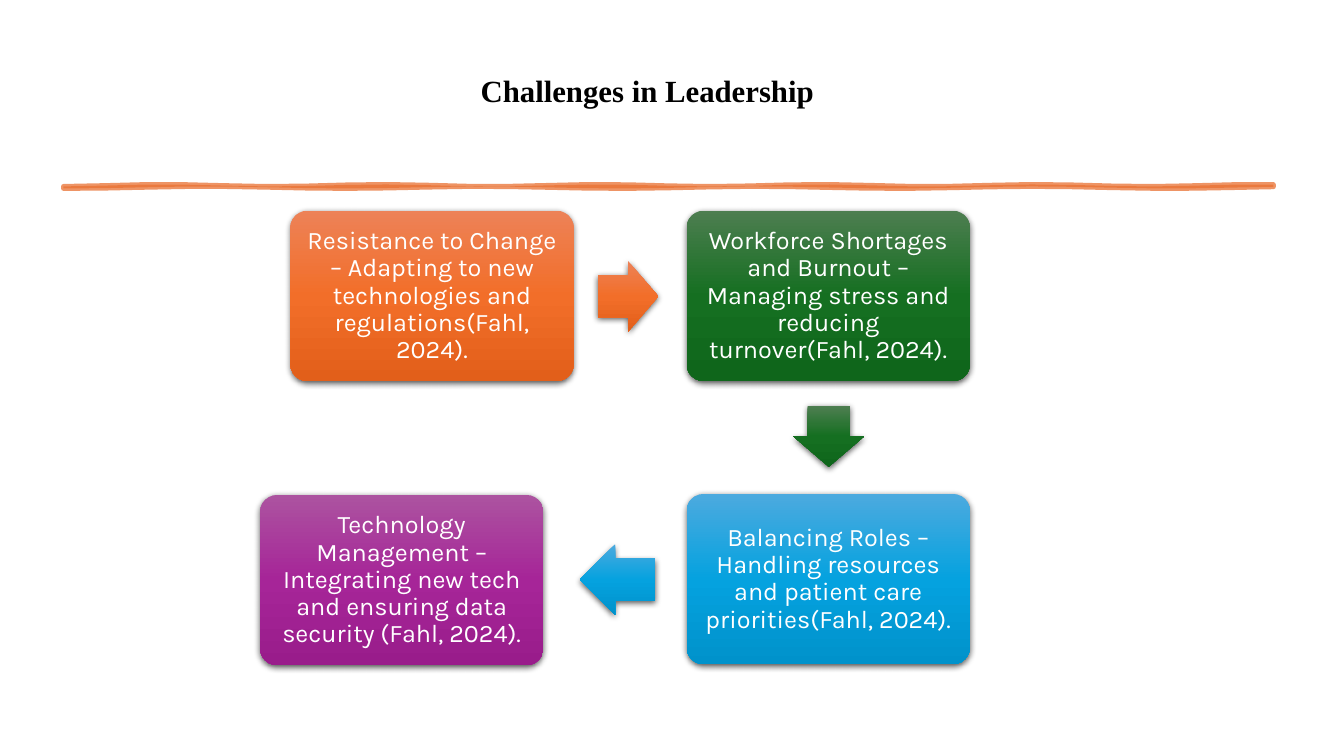
from dataclasses import dataclass
from math import sin

from lxml.etree import SubElement
from pptx import Presentation
from pptx.dml.color import RGBColor
from pptx.enum.shapes import MSO_SHAPE
from pptx.enum.text import MSO_ANCHOR, MSO_AUTO_SIZE, PP_ALIGN
from pptx.oxml.ns import qn
from pptx.shapes.autoshape import Shape
from pptx.slide import Slide
from pptx.util import Inches, Pt

Gradient = tuple[str, str, str]


@dataclass(frozen=True)
class Theme:
    title_font: str = "Times New Roman"
    body_font: str = "Karla"
    title_size: int = 22
    body_size: int = 18
    title_color: str = "000000"
    body_color: str = "FFFFFF"
    rule_color: str = "E97132"
    shadow_color: str = "000000"
    orange: Gradient = ("ED8257", "F26E29", "E25F1A")
    green: Gradient = ("4D7E50", "156F21", "0F661B")
    blue: Gradient = ("4CAADF", "05A2DF", "0092CB")
    purple: Gradient = ("AC53A0", "A62598", "991C8B")


@dataclass(frozen=True)
class Step:
    left: float
    top: float
    colors: Gradient
    text: str


@dataclass(frozen=True)
class Arrow:
    kind: MSO_SHAPE
    left: float
    top: float
    width: float
    height: float
    colors: Gradient


THEME = Theme()
STEP_WIDTH, STEP_HEIGHT = 2.81, 1.69
TOP_ROW, RIGHT_COLUMN = 2.09, 6.81

STEPS = [
    Step(2.88, TOP_ROW, THEME.orange,
         "Resistance to Change – Adapting to new technologies and regulations(Fahl, 2024)."),
    Step(RIGHT_COLUMN, TOP_ROW, THEME.green,
         "Workforce Shortages and Burnout – Managing stress and reducing turnover(Fahl, 2024)."),
    Step(RIGHT_COLUMN, 4.9, THEME.blue,
         "Balancing Roles – Handling resources and patient care priorities(Fahl, 2024)."),
    Step(2.58, 4.91, THEME.purple,
         "Technology Management – Integrating new tech and ensuring data security (Fahl, 2024)."),
]
ARROWS = [
    Arrow(MSO_SHAPE.RIGHT_ARROW, 5.93, 2.59, 0.6, 0.7, THEME.orange),
    Arrow(MSO_SHAPE.DOWN_ARROW, 7.87, 4.03, 0.7, 0.6, THEME.green),
    Arrow(MSO_SHAPE.LEFT_ARROW, 5.75, 5.4, 0.75, 0.7, THEME.blue),
]


def add_color(parent, color: str, opacity: int = 100) -> None:
    element = SubElement(parent, qn("a:srgbClr"), val=color)
    SubElement(element, qn("a:alpha"), val=str(opacity * 1000))


def style_shape(shape: Shape, colors: Gradient) -> None:
    """Give a shape a vertical three-stop gradient and a soft shadow."""
    shape.line.fill.background()
    shape.fill.gradient()
    shape.fill.gradient_angle = 270
    properties = shape.element.spPr
    stops = properties.find(".//" + qn("a:gsLst"))
    for stop in list(stops):
        stops.remove(stop)
    for position, color in zip((0, 50000, 100000), colors):
        add_color(SubElement(stops, qn("a:gs"), pos=str(position)), color)

    shape.shadow.inherit = False
    shadow = SubElement(properties.find(qn("a:effectLst")), qn("a:outerShdw"),
                        blurRad=str(Pt(4.5)), dist=str(Pt(1.5)), dir="5400000",
                        algn="ctr", rotWithShape="0")
    add_color(shadow, THEME.shadow_color, 63)


def add_title(slide: Slide, text: str) -> None:
    title = slide.shapes.title
    title.left, title.top = Inches(0.63), Inches(0.26)
    title.width, title.height = Inches(12.05), Inches(1.57)
    frame = title.text_frame
    frame.auto_size = MSO_AUTO_SIZE.NONE
    frame.vertical_anchor = MSO_ANCHOR.BOTTOM
    frame.margin_right, frame.margin_bottom = Inches(0.57), Inches(0.75)
    frame.text = text
    paragraph = frame.paragraphs[0]
    paragraph.alignment = PP_ALIGN.CENTER
    paragraph.line_spacing = 0.9
    paragraph.font.name = THEME.title_font
    paragraph.font.size = Pt(THEME.title_size)
    paragraph.font.bold = True
    paragraph.font.color.rgb = RGBColor.from_string(THEME.title_color)


def add_rough_rule(slide: Slide) -> None:
    """Draw the hand-drawn rule as a thin, uneven ribbon."""
    left, width, count = 0.63, 12, 30
    columns = [left + width * index / count for index in range(count + 1)]
    upper = [(x, 1.84 + 0.01 * sin(2.9 * x)) for x in columns]
    lower = [(x, 1.86 + 0.01 * sin(2.3 * x)) for x in reversed(columns)]
    outline = [(Inches(x), Inches(y)) for x, y in upper + lower]
    builder = slide.shapes.build_freeform(*outline[0])
    builder.add_line_segments(outline[1:], close=True)
    rule = builder.convert_to_shape()
    rule.shadow.inherit = False
    rule.line.width = Pt(3.5)
    for fill in (rule.fill, rule.line.fill):
        fill.solid()
        fill.fore_color.rgb = RGBColor.from_string(THEME.rule_color)
    for color in rule.element.spPr.iter(qn("a:srgbClr")):
        SubElement(color, qn("a:alpha"), val="75000")


def add_step(slide: Slide, step: Step) -> None:
    box = slide.shapes.add_shape(
        MSO_SHAPE.ROUNDED_RECTANGLE, Inches(step.left), Inches(step.top),
        Inches(STEP_WIDTH), Inches(STEP_HEIGHT))
    box.adjustments[0] = 0.1
    style_shape(box, step.colors)
    frame = box.text_frame
    frame.word_wrap = True
    frame.vertical_anchor = MSO_ANCHOR.MIDDLE
    frame.margin_left = frame.margin_right = Inches(0.07)
    frame.margin_top = frame.margin_bottom = Inches(0.07)
    frame.text = step.text
    paragraph = frame.paragraphs[0]
    paragraph.alignment = PP_ALIGN.CENTER
    paragraph.line_spacing = 0.9
    paragraph.font.name = THEME.body_font
    paragraph.font.size = Pt(THEME.body_size)
    paragraph.font.color.rgb = RGBColor.from_string(THEME.body_color)


def add_arrow(slide: Slide, arrow: Arrow) -> None:
    shape = slide.shapes.add_shape(
        arrow.kind, Inches(arrow.left), Inches(arrow.top),
        Inches(arrow.width), Inches(arrow.height))
    shape.adjustments[0], shape.adjustments[1] = 0.6, 0.5
    style_shape(shape, arrow.colors)


def main() -> None:
    presentation = Presentation()
    presentation.slide_width, presentation.slide_height = Inches(13.33), Inches(7.5)
    slide = presentation.slides.add_slide(presentation.slide_layouts[5])

    # Heading
    add_title(slide, "Challenges in Leadership")
    add_rough_rule(slide)

    # Chain of challenges
    for step in STEPS:
        add_step(slide, step)
    for arrow in ARROWS:
        add_arrow(slide, arrow)

    presentation.save("out.pptx")


if __name__ == "__main__":
    main()
